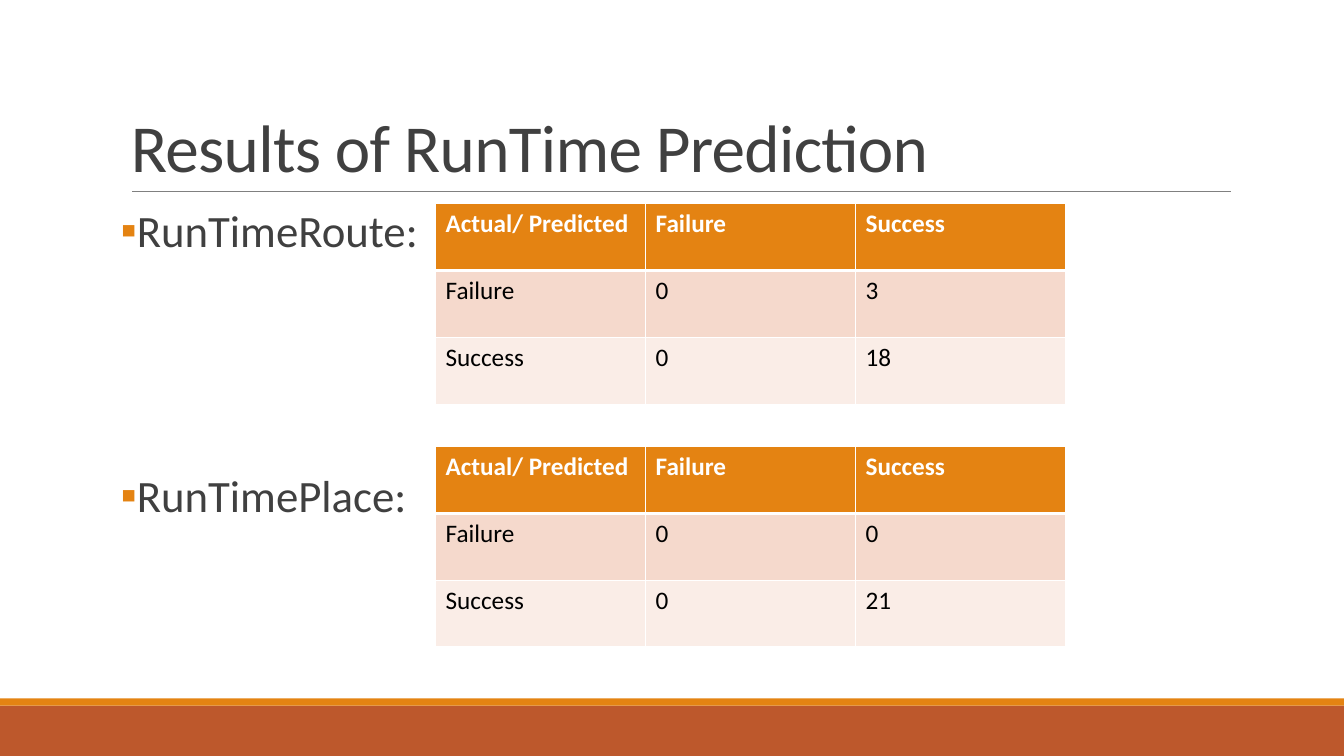
from lxml.etree import SubElement, Element
from pptx import Presentation
from pptx.dml.color import RGBColor
from pptx.enum.shapes import MSO_CONNECTOR as Connector, MSO_SHAPE as Shape
from pptx.enum.text import MSO_ANCHOR as Anchor
from pptx.oxml.ns import qn
from pptx.util import Inches, Pt

TITLE = "Results of RunTime Prediction"
LABELS = ["RunTimeRoute:", "RunTimePlace:"]
HEADER = ["Actual/ Predicted", "Failure", "Success"]
RESULTS = [
    [HEADER, ["Failure", "0", "3"], ["Success", "0", "18"]],
    [HEADER, ["Failure", "0", "0"], ["Success", "0", "21"]],
]

COLORS = {
    "orange": "E48312",
    "rust": "BD582C",
    "rule": "808080",
    "text": "404040",
    "white": "FFFFFF",
    "black": "000000",
    "band_dark": "F5D9CC",
    "band_light": "FAEDE7",
}
ROW_FILLS = ["orange", "band_dark", "band_light"]
FOOTER_BANDS = [(7, 0.5, "rust"), (6.93, 0.07, "orange")]
FONT = "Calibri"
LEFT, WIDTH, BODY_TOP, BODY_HEIGHT = 1.2, 11, 2.02, 4.4
TABLE_LEFT, TABLE_WIDTH, TABLE_HEIGHT = 4.32, 6.25, 1.99
TABLE_STEP = BODY_HEIGHT - TABLE_HEIGHT
LABEL_GAP = 153


def color(name):
    return RGBColor.from_string(COLORS[name])


def write(para, text, size, ink="text", bold=False, spacing=None):
    span = para.add_run()
    span.text = text
    span.font.name = FONT
    span.font.size = Pt(size)
    span.font.bold = bold
    span.font.color.rgb = color(ink)
    if spacing is not None:
        span.font._element.set("spc", str(int(spacing * 100)))


def add_bullet(para):
    props = para._p.get_or_add_pPr()
    props.set("marL", str(Inches(0.1)))
    props.set("indent", str(Inches(-0.1)))
    ink = SubElement(props, qn("a:buClr"))
    SubElement(ink, qn("a:srgbClr"), val=COLORS["orange"])
    SubElement(props, qn("a:buFont"), typeface=FONT)
    SubElement(props, qn("a:buChar"), char="▪")


def set_borders(cell, top, bottom):
    props = cell._tc.get_or_add_tcPr()
    widths = {"lnL": 1, "lnR": 1, "lnT": top, "lnB": bottom}
    for index, (side, width) in enumerate(widths.items()):
        line = Element(qn(f"a:{side}"), w=str(Pt(width)))
        fill = SubElement(line, qn("a:solidFill"))
        SubElement(fill, qn("a:srgbClr"), val=COLORS["white"])
        props.insert(index, line)


def add_results(page, rows, top):
    frame = page.shapes.add_table(
        len(rows), len(HEADER), Inches(TABLE_LEFT), Inches(top),
        Inches(TABLE_WIDTH), Inches(TABLE_HEIGHT))
    table = frame.table
    for r, row in enumerate(rows):
        for c, text in enumerate(row):
            cell = table.cell(r, c)
            cell.fill.solid()
            cell.fill.fore_color.rgb = color(ROW_FILLS[r])
            set_borders(cell, 3 if r == 1 else 1, 3 if r == 0 else 1)
            write(cell.text_frame.paragraphs[0], text, 18,
                  ink="white" if r == 0 else "black", bold=r == 0)


def add_box(page, top, height):
    box = page.shapes.add_textbox(
        Inches(LEFT), Inches(top), Inches(WIDTH), Inches(height))
    box.text_frame.word_wrap = True
    return box.text_frame


def main():
    deck = Presentation()
    deck.slide_width, deck.slide_height = Inches(13.33), Inches(7.5)
    page = deck.slides.add_slide(deck.slide_layouts[6])

    for top, height, fill in FOOTER_BANDS:
        band = page.shapes.add_shape(
            Shape.RECTANGLE, 0, Inches(top), deck.slide_width, Inches(height))
        band.shadow.inherit = False
        band.fill.solid()
        band.fill.fore_color.rgb = color(fill)
        band.line.fill.background()

    rule = page.shapes.add_connector(
        Connector.STRAIGHT, Inches(1.31), Inches(1.9), Inches(12.21), Inches(1.9))
    rule.line.color.rgb = color("rule")
    rule.line.width = Pt(0.5)
    SubElement(rule._element.spPr, qn("a:effectLst"))

    title = add_box(page, 0.31, 1.59)
    title.vertical_anchor = Anchor.BOTTOM
    title.paragraphs[0].line_spacing = 0.85
    write(title.paragraphs[0], TITLE, 48, spacing=-0.5)

    body = add_box(page, BODY_TOP, BODY_HEIGHT)
    body.margin_left = body.margin_right = 0
    for index, label in enumerate(LABELS):
        para = body.add_paragraph() if index else body.paragraphs[0]
        add_bullet(para)
        para.line_spacing = 0.9
        para.space_before = Pt(LABEL_GAP * index)
        para.space_after = Pt(2)
        write(para, label, 32)

    for index, rows in enumerate(RESULTS):
        add_results(page, rows, BODY_TOP + TABLE_STEP * index)

    deck.save("out.pptx")


if __name__ == "__main__":
    main()
